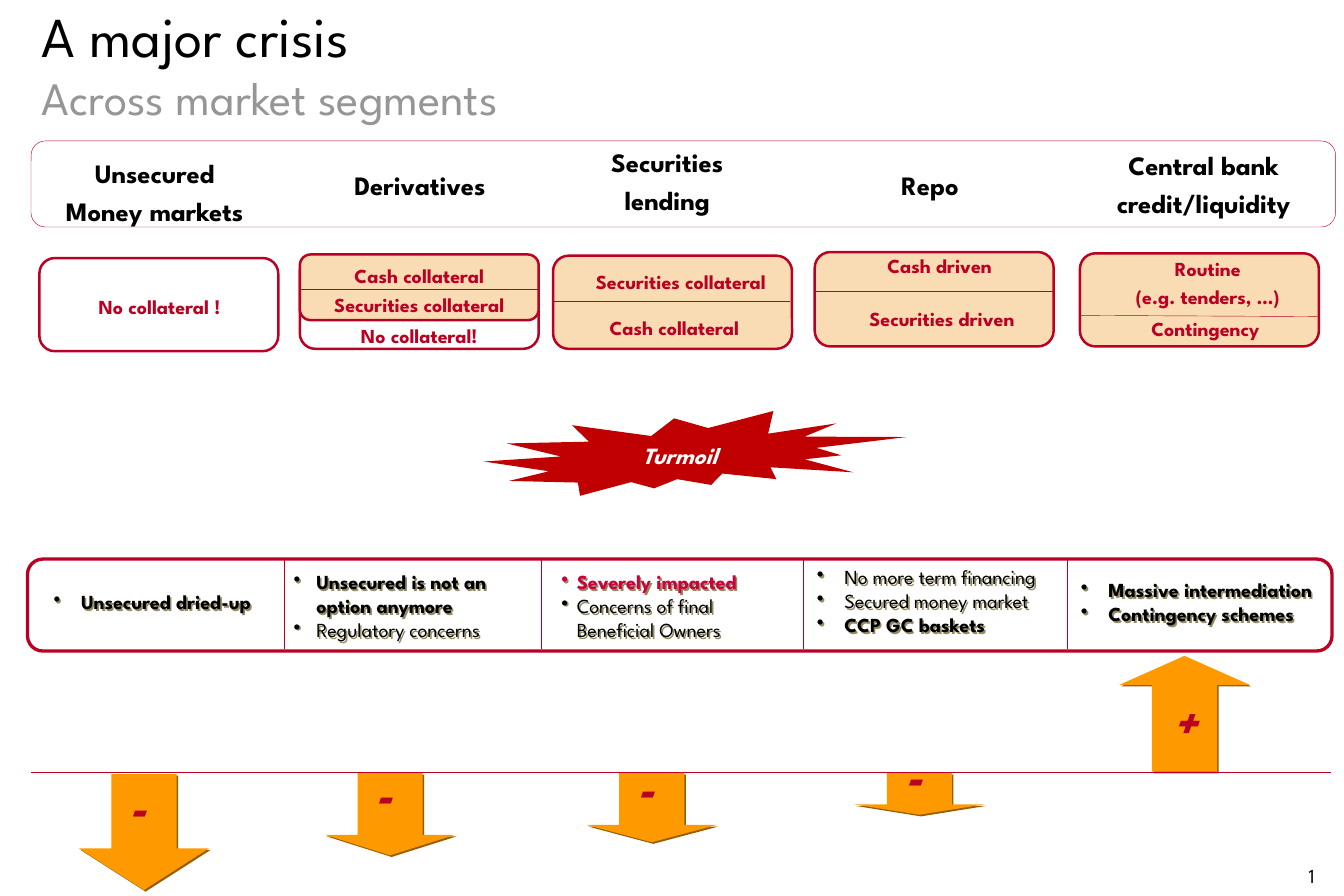
from lxml import etree
from pptx import Presentation
from pptx.dml.color import RGBColor
from pptx.enum.shapes import MSO_CONNECTOR, MSO_SHAPE as Shape
from pptx.enum.text import MSO_ANCHOR as Anchor, MSO_AUTO_SIZE as AutoSize, PP_ALIGN as Align
from pptx.oxml.ns import qn
from pptx.util import Emu, Pt

PX = 9144  # 100 px to the inch
COLORS = {
    "black": "000000", "white": "FFFFFF", "grey": "969696", "red": "BA0023",
    "pink": "C8023B", "burst": "C00000", "peach": "FADCB4", "orange": "FF9900",
    "arrow_shadow": "995C00", "text_shadow": "948A64",
}
TITLE = {"size": 34}
SUBTITLE = {"size": 28, "color": "grey"}
HEADING = {"size": 16, "bold": True}
LABEL = {"size": 12, "bold": True, "color": "red"}
BODY = {"size": 12}
STRONG = {"size": 12, "bold": True}
ALERT = {"size": 12, "bold": True, "color": "pink"}
BURST = {"size": 14, "bold": True, "italic": True, "color": "white"}
SIGN = {"size": 28, "bold": True, "italic": True, "color": "red"}


def px(value):
    return Emu(value * PX)


def rgb(name):
    return RGBColor.from_string(COLORS[name])


class Slide:
    font = "League Spartan"

    def __init__(self, deck):
        self.shapes = deck.slides.add_slide(deck.slide_layouts[6]).shapes

    def fill_text(self, frame, rows, align=Align.CENTER, spacing=None, hang=0):
        """Each row is (text, format); a hang gives the rows bullets."""
        for index, (text, style) in enumerate(rows):
            para = frame.paragraphs[0] if index == 0 else frame.add_paragraph()
            values = dict(style)
            color = values.pop("color", "black")
            if hang:
                self.bullet(para, hang, color)
            para.alignment = align
            if spacing:
                para.line_spacing = spacing
            span = para.add_run()
            span.text = text
            span.font.name = self.font
            span.font.color.rgb = rgb(color)
            values["size"] = Pt(values["size"])
            for name, value in values.items():
                setattr(span.font, name, value)

    def bullet(self, para, hang, color):
        props = para._p.get_or_add_pPr()
        props.set("marL", str(hang * PX))
        props.set("indent", str(-hang * PX))
        tint = etree.SubElement(props, qn("a:buClr"))
        etree.SubElement(tint, qn("a:srgbClr"), val=COLORS[color])
        etree.SubElement(props, qn("a:buChar"), char="•")

    def shadow(self, shape, color):
        effects = shape._element.spPr.find(qn("a:effectLst"))
        outer = etree.SubElement(effects, qn("a:outerShdw"), blurRad="0",
                                 dist=str(Pt(1.4)), dir="2700000", algn="ctr", rotWithShape="0")
        etree.SubElement(outer, qn("a:srgbClr"), val=COLORS[color])

    def text(self, area, rows, grow=False, inset=True, shadow=None, **layout):
        box = self.shapes.add_textbox(*map(px, area))
        frame = box.text_frame
        frame.word_wrap = True
        frame.auto_size = AutoSize.SHAPE_TO_FIT_TEXT if grow else AutoSize.NONE
        frame.vertical_anchor = Anchor.TOP if grow else Anchor.MIDDLE
        if not inset:
            for side in ("left", "top", "right", "bottom"):
                setattr(frame, f"margin_{side}", 0)
        if shadow:
            box.shadow.inherit = False
            self.shadow(box, shadow)
        self.fill_text(frame, rows, **layout)

    def shape(self, kind, area, fill=None, line=None, rows=()):
        shape = self.shapes.add_shape(kind, *map(px, area))
        shape.shadow.inherit = False
        if fill:
            shape.fill.solid()
            shape.fill.fore_color.rgb = rgb(fill)
        else:
            shape.fill.background()
        if line:
            shape.line.color.rgb = rgb("red")
            shape.line.width = Pt(line)
        else:
            shape.line.fill.background()
        if rows:
            shape.text_frame.word_wrap = False
            shape.text_frame.vertical_anchor = Anchor.MIDDLE
            self.fill_text(shape.text_frame, rows)
        return shape

    def arrow(self, area, sign, head=0.25, rotation=0):
        arrow = self.shape(Shape.UP_ARROW, area, "orange", rows=[(sign, SIGN)])
        arrow.adjustments[0] = 0.5
        arrow.adjustments[1] = head
        arrow.rotation = rotation
        self.shadow(arrow, "arrow_shadow")

    def line(self, *ends):
        line = self.shapes.add_connector(MSO_CONNECTOR.STRAIGHT, *map(px, ends))
        line.line.color.rgb = rgb("red")
        line.line.width = Pt(0.25)
        etree.SubElement(line._element.spPr, qn("a:effectLst"))


def main():
    deck = Presentation()
    deck.slide_width, deck.slide_height = px(1125), px(750)
    page = Slide(deck)

    # Impact panel with its column dividers
    page.shape(Shape.ROUNDED_RECTANGLE, (23, 468, 1092, 77), line=2)
    for x in (238, 453, 672, 893):
        page.line(x, 543, x, 467)
    impacts = [
        ((35, 489, 212, 30), 23, [("Unsecured dried-up", STRONG)]),
        ((236, 472, 213, 70), 19, [("Unsecured is not an option anymore", STRONG),
                                   ("Regulatory concerns", BODY)]),
        ((460, 472, 206, 70), 13, [("Severely impacted", ALERT),
                                   ("Concerns of final Beneficial Owners", BODY)]),
        ((674, 468, 224, 70), 23, [("No more term financing", BODY),
                                   ("Secured money market", BODY),
                                   ("CCP GC baskets", STRONG)]),
        ((895, 479, 223, 50), 23, [("Massive intermediation", STRONG),
                                   ("Contingency schemes", STRONG)]),
    ]
    for area, hang, rows in impacts:
        page.text(area, rows, grow=True, shadow="text_shadow", align=Align.LEFT, hang=hang)

    # Title and page number
    page.text((35, 1, 912, 103), [("A major crisis", TITLE), ("Across market segments", SUBTITLE)],
              grow=True, inset=False, align=Align.LEFT)
    page.text((1076, 718, 44, 33), [("1", BODY)], grow=True)

    # Arrows around the base line
    page.arrow((937, 549, 109, 97), "+")
    for x, y, height, head in ((715, 647, 35, 0.25), (491, 647, 58, 0.25),
                               (66, 648, 97, 0.36), (272, 647, 69, 0.25)):
        page.arrow((x, y, 109, height), "-", head, 180)
    page.line(26, 646, 1114, 646)

    # Turmoil burst
    page.shape(Shape.EXPLOSION2, (405, 344, 354, 71), "burst", rows=[("Turmoil", BURST)])

    # Collateral boxes: left, top, height, fill
    for x, y, height, fill in ((33, 216, 78, None), (251, 214, 78, None), (251, 213, 55, "peach"),
                               (463, 214, 78, "peach"), (682, 211, 79, "peach"),
                               (904, 212, 78, "peach")):
        page.shape(Shape.ROUNDED_RECTANGLE, (x, y, 200, height), fill, 1.5)
    for ends in ((252, 242, 450, 242), (464, 252, 661, 252),
                 (683, 244, 883, 244), (905, 264, 1103, 265)):
        page.line(*ends)

    # Segment headings and collateral labels
    captions = [
        (HEADING, [((34, 131, 191, 54), ["Unsecured", "Money markets"]),
                   ((277, 125, 149, 54), ["Derivatives"]),
                   ((491, 122, 135, 54), ["Securities lending"]),
                   ((711, 125, 135, 54), ["Repo"]),
                   ((912, 124, 191, 54), ["Central bank credit/liquidity"])]),
        (LABEL, [((54, 228, 159, 54), ["No collateral !"]),
                 ((245, 202, 212, 54), ["Cash collateral"]),
                 ((262, 226, 178, 54), ["Securities collateral"]),
                 ((245, 252, 212, 54), ["No collateral!"]),
                 ((464, 222, 212, 23), ["Securities collateral"]),
                 ((481, 260, 167, 24), ["Cash collateral"]),
                 ((707, 193, 159, 54), ["Cash driven"]),
                 ((709, 238, 159, 54), ["Securities driven"]),
                 ((905, 216, 212, 37), ["Routine", "(e.g. tenders, …)"]),
                 ((903, 246, 212, 54), ["Contingency"])]),
    ]
    for style, items in captions:
        for area, lines in items:
            page.text(area, [(text, style) for text in lines], spacing=1.2)

    # Heading frame
    page.shape(Shape.ROUNDED_RECTANGLE, (26, 118, 1092, 72), line=0.25)

    deck.save("out.pptx")


if __name__ == "__main__":
    main()
